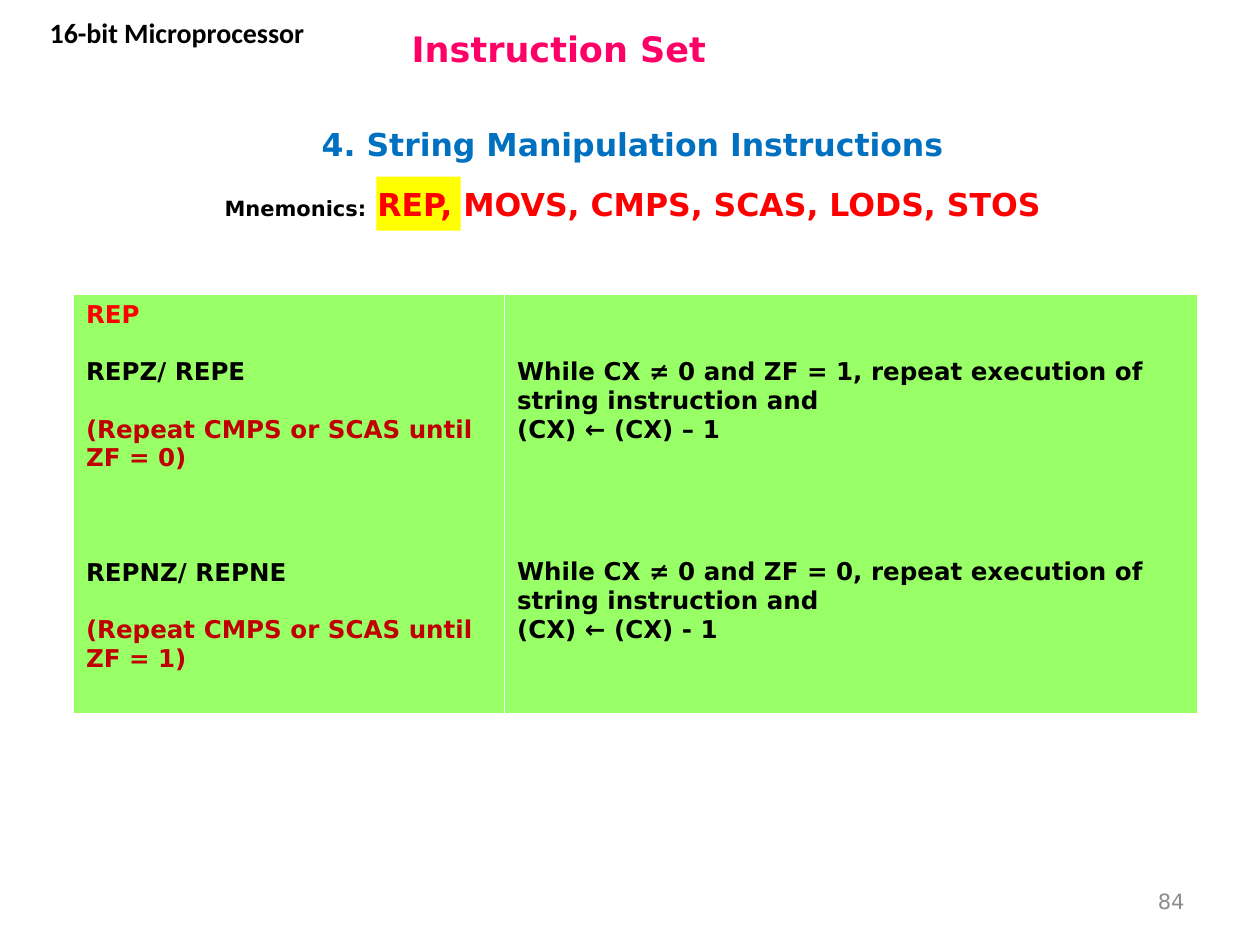
from dataclasses import dataclass
from typing import Any

from lxml import etree
from pptx import Presentation
from pptx import util as u
from pptx.dml.color import RGBColor
from pptx.enum import shapes, text
from pptx.oxml import ns


@dataclass(frozen=True)
class Theme:
    body_font: str = "DejaVu Sans"
    course_font: str = "Calibri"
    black: str = "000000"
    white: str = "FFFFFF"
    pink: str = "FF0066"
    blue: str = "0070C0"
    red: str = "FF0000"
    dark_red: str = "C00000"
    grey: str = "8C8C8C"
    green: str = "99FF66"
    yellow: str = "FFFF00"
    title_size: float = 20
    heading_size: float = 18
    course_size: float = 16
    table_size: float = 14
    small_size: float = 12
    table_line: float = 16.3


THEME = Theme()
CENTER, LEFT, RIGHT = text.PP_ALIGN.CENTER, text.PP_ALIGN.LEFT, text.PP_ALIGN.RIGHT
TOP, MIDDLE = text.MSO_ANCHOR.TOP, text.MSO_ANCHOR.MIDDLE


@dataclass(frozen=True)
class Span:
    words: str
    size: float
    color: str


@dataclass(frozen=True)
class Label:
    left: float
    top: float
    width: float
    height: float
    spans: tuple[Span, ...]
    align: text.PP_ALIGN = CENTER
    anchor: text.MSO_ANCHOR = MIDDLE
    bold: bool = True
    face: str = THEME.body_font


@dataclass(frozen=True)
class Line:
    words: str
    color: str = THEME.black
    lines_before: int = 0


@dataclass(frozen=True)
class Column:
    width: float
    top_margin: float
    lines: tuple[Line, ...]


LABELS = (
    Label(0.74, 2.36, 24.03, 1.09,
          (Span("4. String Manipulation Instructions", THEME.heading_size, THEME.blue),)),
    Label(8.05, 0.3, 16.71, 1.35,
          (Span("Instruction Set", THEME.title_size, THEME.pink),), align=LEFT),
    Label(18.21, 17.65, 5.92, 1.02,
          (Span("84", THEME.small_size, THEME.grey),), align=RIGHT, bold=False),
    Label(0.18, 0.18, 6.78, 1.63,
          (Span("16-bit Microprocessor", THEME.course_size, THEME.black),),
          anchor=TOP, face=THEME.course_font),
    Label(0.74, 3.61, 24.03, 1.02,
          (Span("Mnemonics:", THEME.small_size, THEME.black),
           Span(" REP, MOVS, CMPS, SCAS, LODS, STOS", THEME.heading_size, THEME.red)),
          anchor=TOP),
)

COLUMNS = (
    Column(8.69, 0.13, (
        Line("REP", THEME.red),
        Line("REPZ/ REPE", lines_before=1),
        Line("(Repeat CMPS or SCAS until ZF = 0)", THEME.dark_red, 1),
        Line("REPNZ/ REPNE", lines_before=3),
        Line("(Repeat CMPS or SCAS until ZF = 1)", THEME.dark_red, 1),
    )),
    Column(13.97, 1.28, (
        Line("While CX ≠ 0 and ZF = 1, repeat execution of string instruction and"),
        Line("(CX) ← (CX) – 1"),
        Line("While CX ≠ 0 and ZF = 0, repeat execution of string instruction and",
             lines_before=4),
        Line("(CX) ← (CX) - 1"),
    )),
)
BORDERS = (("lnL", 1), ("lnR", 1), ("lnT", 1), ("lnB", 3))


def style_font(font: Any, size: float, color: str) -> None:
    font.size = u.Pt(size)
    font.color.rgb = RGBColor.from_string(color)


def add_highlight(slide: Any) -> None:
    highlight = slide.shapes.add_shape(
        shapes.MSO_SHAPE.RECTANGLE, u.Cm(7.59), u.Cm(3.56), u.Cm(1.7), u.Cm(1.09))
    highlight.shadow.inherit = False
    highlight.fill.solid()
    highlight.fill.fore_color.rgb = RGBColor.from_string(THEME.yellow)
    highlight.line.fill.background()


def add_label(slide: Any, label: Label) -> None:
    box = slide.shapes.add_textbox(
        u.Cm(label.left), u.Cm(label.top), u.Cm(label.width), u.Cm(label.height))
    frame = box.text_frame
    frame.word_wrap = True
    frame.vertical_anchor = label.anchor
    paragraph = frame.paragraphs[0]
    paragraph.alignment = label.align
    paragraph.font.name = label.face
    paragraph.font.bold = label.bold
    for span in label.spans:
        run = paragraph.add_run()
        run.text = span.words
        style_font(run.font if len(label.spans) > 1 else paragraph.font,
                   span.size, span.color)


def add_borders(cell: Any) -> None:
    properties = cell._tc.get_or_add_tcPr()
    for position, (side, points) in enumerate(BORDERS):
        border = etree.Element(ns.qn(f"a:{side}"), w=str(u.Pt(points)))
        fill = etree.SubElement(border, ns.qn("a:solidFill"))
        etree.SubElement(fill, ns.qn("a:srgbClr"), val=THEME.white)
        properties.insert(position, border)


def fill_cell(cell: Any, column: Column) -> None:
    cell.fill.solid()
    cell.fill.fore_color.rgb = RGBColor.from_string(THEME.green)
    cell.margin_top = u.Cm(column.top_margin)
    add_borders(cell)
    frame = cell.text_frame
    for index, line in enumerate(column.lines):
        paragraph = frame.add_paragraph() if index else frame.paragraphs[0]
        paragraph.text = line.words
        if line.lines_before:
            paragraph.space_before = u.Pt(round(line.lines_before * THEME.table_line, 1))
        paragraph.font.name = THEME.body_font
        paragraph.font.bold = True
        style_font(paragraph.font, THEME.table_size, line.color)


def add_instruction_table(slide: Any, columns: tuple[Column, ...]) -> None:
    total_width = sum(column.width for column in columns)
    table = slide.shapes.add_table(
        1, len(columns), u.Cm(1.48), u.Cm(5.93), u.Cm(total_width), u.Cm(8.5)).table
    table.first_row = False
    table.horz_banding = False
    for index, column in enumerate(columns):
        table.columns[index].width = u.Cm(column.width)
        fill_cell(table.cell(0, index), column)


def main() -> None:
    deck = Presentation()
    deck.slide_width, deck.slide_height = u.Cm(25.4), u.Cm(19.05)
    slide = deck.slides.add_slide(deck.slide_layouts[6])
    add_highlight(slide)
    for label in LABELS:
        add_label(slide, label)
    add_instruction_table(slide, COLUMNS)
    deck.save("out.pptx")


if __name__ == "__main__":
    main()
